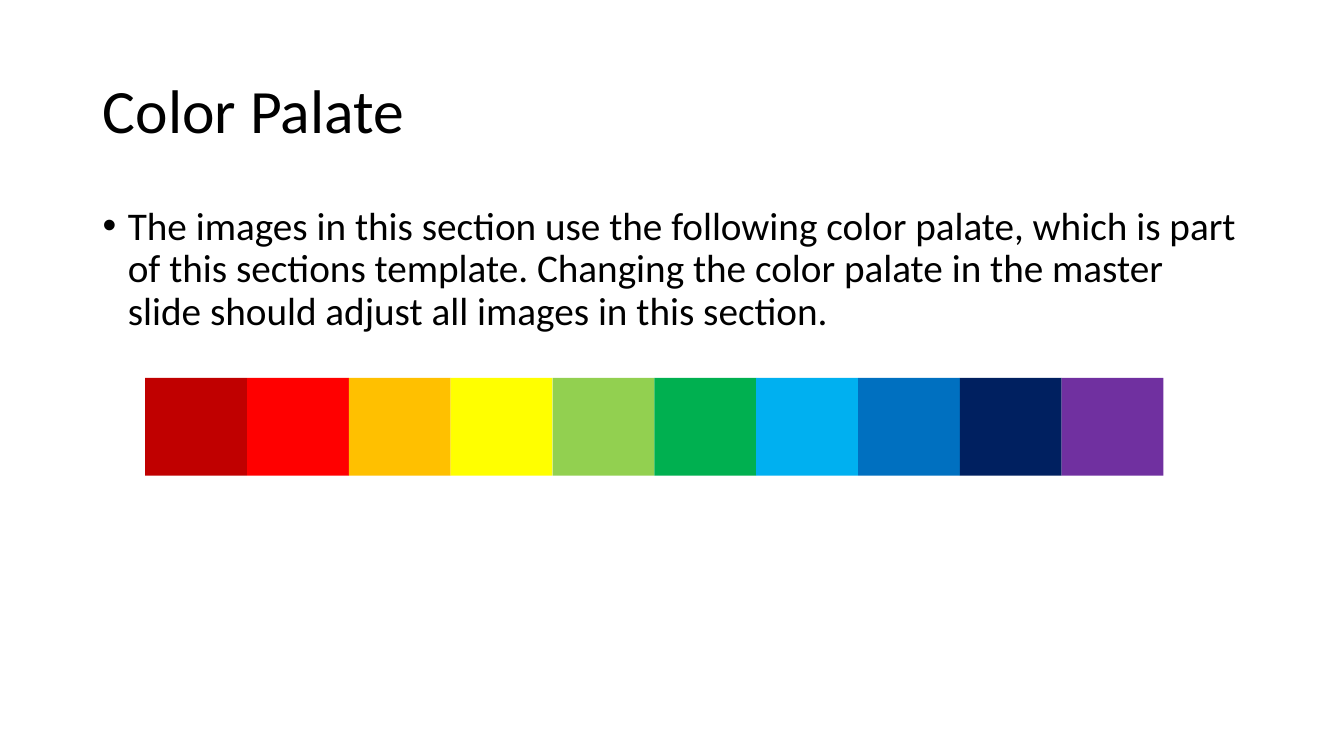
from lxml.etree import SubElement
from pptx import Presentation
from pptx.dml.color import RGBColor
from pptx.enum.shapes import MSO_SHAPE
from pptx.enum.text import MSO_ANCHOR, MSO_AUTO_SIZE, PP_ALIGN
from pptx.oxml.ns import qn
from pptx.util import Inches, Pt

TITLE = "Color Palate"
BODY = (
    "The images in this section use the following color palate, which is part "
    "of this sections template. Changing the color palate in the master "
    "slide should adjust all images in this section."
)
PALETTE = [
    "C00000", "FF0000", "FFC000", "FFFF00", "92D050",
    "00B050", "00B0F0", "0070C0", "002060", "7030A0",
]
FONT = "Calibri"
TEXT_COLOR = "000000"
TEXT_LEFT, TEXT_WIDTH = 0.92, 11.5
SWATCH_LEFT, SWATCH_TOP = 1.44, 3.75
SWATCH_WIDTH, SWATCH_HEIGHT = 1.01, 0.97


def color(value):
    return RGBColor.from_string(value)


def place(shape, left, top, width, height):
    shape.left, shape.top = Inches(left), Inches(top)
    shape.width, shape.height = Inches(width), Inches(height)


def write(shape, text, size, anchor):
    frame = shape.text_frame
    frame.text = text
    frame.word_wrap = True
    frame.auto_size = MSO_AUTO_SIZE.NONE
    frame.vertical_anchor = anchor
    paragraph = frame.paragraphs[0]
    paragraph.alignment = PP_ALIGN.LEFT
    paragraph.line_spacing = 0.9
    font = paragraph.runs[0].font
    font.name, font.size = FONT, Pt(size)
    font.color.rgb = color(TEXT_COLOR)
    return paragraph


def add_bullet(paragraph, indent):
    properties = paragraph._p.get_or_add_pPr()
    properties.set("marL", str(Inches(indent)))
    properties.set("indent", str(-Inches(indent)))
    SubElement(properties, qn("a:buFont"), typeface="Arial")
    SubElement(properties, qn("a:buChar"), char="•")


def add_swatch(slide, index, fill):
    swatch = slide.shapes.add_shape(
        MSO_SHAPE.RECTANGLE,
        Inches(SWATCH_LEFT + index * SWATCH_WIDTH), Inches(SWATCH_TOP),
        Inches(SWATCH_WIDTH), Inches(SWATCH_HEIGHT),
    )
    swatch.shadow.inherit = False
    swatch.fill.solid()
    swatch.fill.fore_color.rgb = color(fill)
    swatch.line.fill.background()


def main():
    presentation = Presentation()
    presentation.slide_width = Inches(13.33)
    presentation.slide_height = Inches(7.5)
    slide = presentation.slides.add_slide(presentation.slide_layouts[5])

    title = slide.shapes.title
    place(title, TEXT_LEFT, 0.4, TEXT_WIDTH, 1.45)
    write(title, TITLE, 44, MSO_ANCHOR.MIDDLE)

    body = slide.shapes.add_textbox(0, 0, 0, 0)
    place(body, TEXT_LEFT, 2, TEXT_WIDTH, 1.75)
    paragraph = write(body, BODY, 28, MSO_ANCHOR.TOP)
    paragraph.space_before = Pt(10)
    add_bullet(paragraph, 0.25)

    for index, fill in enumerate(PALETTE):
        add_swatch(slide, index, fill)

    presentation.save("out.pptx")


if __name__ == "__main__":
    main()
